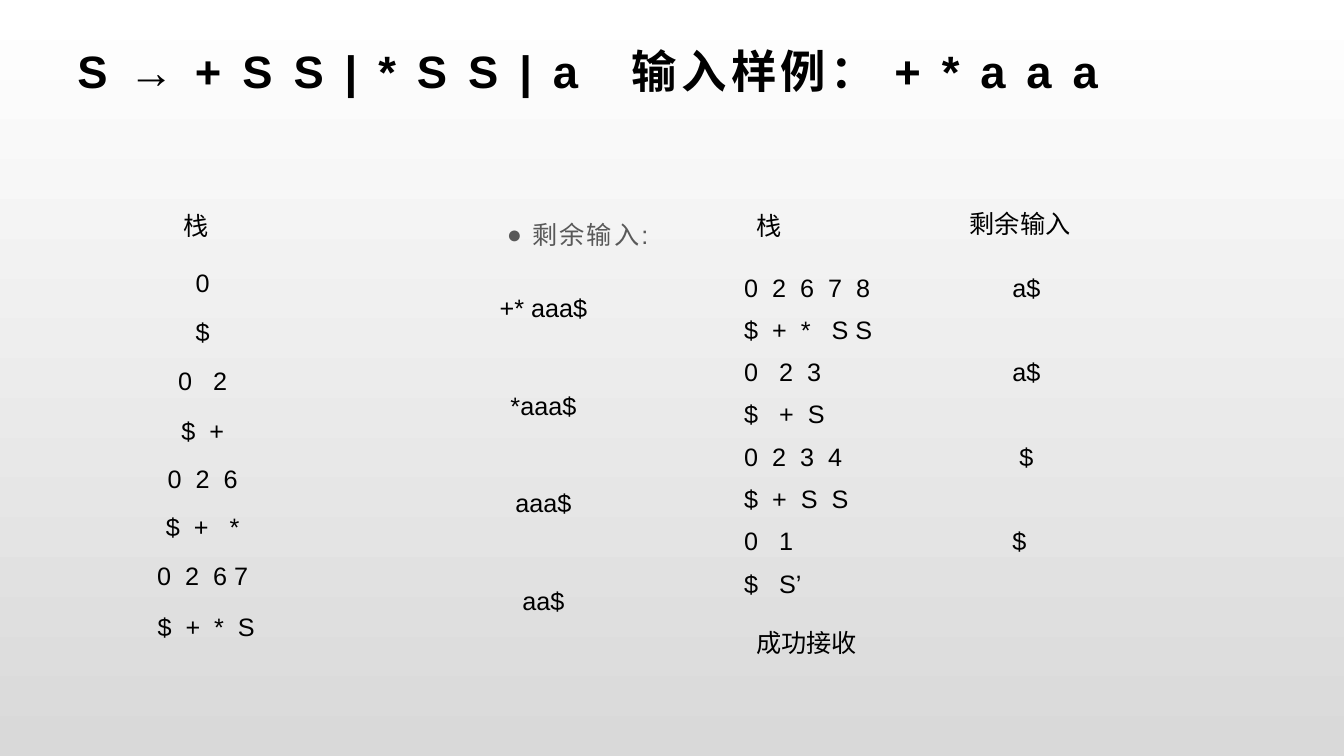
"""Build a slide tracing the stack and remaining input of a shift-reduce parse."""
from pptx import Presentation
from pptx.dml.color import RGBColor
from pptx.enum.text import MSO_ANCHOR, PP_ALIGN
from pptx.util import Inches, Pt
from lxml.etree import SubElement
from pptx.oxml.ns import qn

THEME = {
    "top": RGBColor(0xFF, 0xFF, 0xFF),
    "base": RGBColor(0xD9, 0xD9, 0xD9),
    "ink": RGBColor(0, 0, 0),
    "gray": RGBColor(0x59, 0x59, 0x59),
    "font": "Arial",
    "head": Pt(32.4),
    "text": Pt(18),
    "plain": "{2D5ABB26-0587-4C30-8999-92F81FD0307C}",
}
BODY = {"name": THEME["font"], "size": THEME["text"], "color": THEME["ink"]}
TITLE = {**BODY, "size": THEME["head"], "bold": True, "track": 300}
POINT = {**BODY, "color": THEME["gray"], "track": 150}


def write(para, text, style):
    run = para.add_run()
    run.text = text
    for key, value in style.items():
        if key == "color":
            run.font.color.rgb = value
        elif key == "track":
            run.font._element.set("spc", str(value))
        else:
            setattr(run.font, key, value)


def grid(left, top, widths, heights):
    frame = slide.shapes.add_table(
        len(heights), len(widths), Inches(left), Inches(top),
        Inches(sum(widths)), Inches(sum(heights)))
    table = frame.table
    table._tbl.tblPr.find(qn("a:tableStyleId")).text = THEME["plain"]
    for flag in ("first_row", "horz_banding"):
        setattr(table, flag, False)
    for col, width in zip(table.columns, widths):
        col.width = Inches(width)
    for row, height in zip(table.rows, heights):
        row.height = Inches(height)
    for cell in table.iter_cells():
        cell.fill.background()
    return table


deck = Presentation()
deck.slide_width, deck.slide_height = Inches(13.33), Inches(7.5)
slide = deck.slides.add_slide(deck.slide_layouts[6])
back = slide.background.fill
back.gradient()
back.gradient_angle = 270
for stop, tone, place in zip(back.gradient_stops, ("top", "base"), (0, 1)):
    stop.color.rgb = THEME[tone]
    stop.position = place

labels = [
    ("S → + S S | * S S | a\t输入样例： + * a a a", 0.67, 0.42, 12, 0.56, TITLE),
    ("剩余输入:", 4.93, 2.04, 5.11, 1.31, POINT),
    ("栈", 1.72, 2.04, 2.77, 0.4, BODY),
    ("栈", 7.4, 2.04, 1.52, 0.4, BODY),
    ("剩余输入", 9.52, 2.02, 1.88, 0.4, BODY),
]
for text, left, top, width, height, style in labels:
    box = slide.shapes.add_textbox(
        Inches(left), Inches(top), Inches(width), Inches(height))
    frame = box.text_frame
    frame.word_wrap = True
    para = frame.paragraphs[0]
    if style is TITLE:
        frame.vertical_anchor = MSO_ANCHOR.MIDDLE
    if style is POINT:
        para.line_spacing = 1.3
        props = para._p.get_or_add_pPr()
        props.set("marL", str(Inches(0.25)))
        props.set("indent", str(Inches(-0.25)))
        SubElement(props, qn("a:buFont"), typeface=THEME["font"])
        SubElement(props, qn("a:buChar"), char="●")
    write(para, text, style)

stack = ["0", "$", "0   2", "$  +", "0  2  6", "$  +   *", "0  2  6 7", "$  +  *  S"]
rest = ["+* aaa$", "*aaa$", "aaa$", "aa$"]
first = grid(0.24, 2.14, [3.54, 3.22],
             [0.48, 0.49, 0.48, 0.49, 0.49, 0.47, 0.48, 0.5, 0.5])
cells = [(first.cell(i + 1, 0), text) for i, text in enumerate(stack)]
for i, text in enumerate(rest):
    cell = first.cell(2 * i + 1, 1)
    cell.merge(first.cell(2 * i + 2, 1))
    cells.append((cell, text))
for cell, text in cells:
    cell.vertical_anchor = MSO_ANCHOR.MIDDLE
    para = cell.text_frame.paragraphs[0]
    para.alignment = PP_ALIGN.CENTER
    para.line_spacing = 0.5
    write(para, text, BODY)
first.cell(8, 0).margin_left = Inches(0.17)

stack = ["0  2  6  7  8", "$  +  *   S S", "0   2  3", "$   +  S",
         "0  2  3  4", "$  +  S  S", "0   1", "$   S’"]
rest = [("a$", 0.1), ("a$", 0.1), ("$", 0.17), ("$", 0.1)]
second = grid(7, 2.67, [2.94] * 2, [0.42] * 8)
for i, text in enumerate(stack):
    cell = second.cell(i, 0)
    cell.margin_left = Inches(0.38)
    write(cell.text_frame.paragraphs[0], text, BODY)
for i, (text, inset) in enumerate(rest):
    cell = second.cell(2 * i, 1)
    cell.merge(second.cell(2 * i + 1, 1))
    cell.margin_left = Inches(inset)
    write(cell.text_frame.paragraphs[0], text, BODY)

final = grid(7.4, 6.13, [2.54] * 2, [0.42] * 2)
write(final.cell(0, 0).text_frame.paragraphs[0], "成功接收", BODY)

deck.save("out.pptx")
